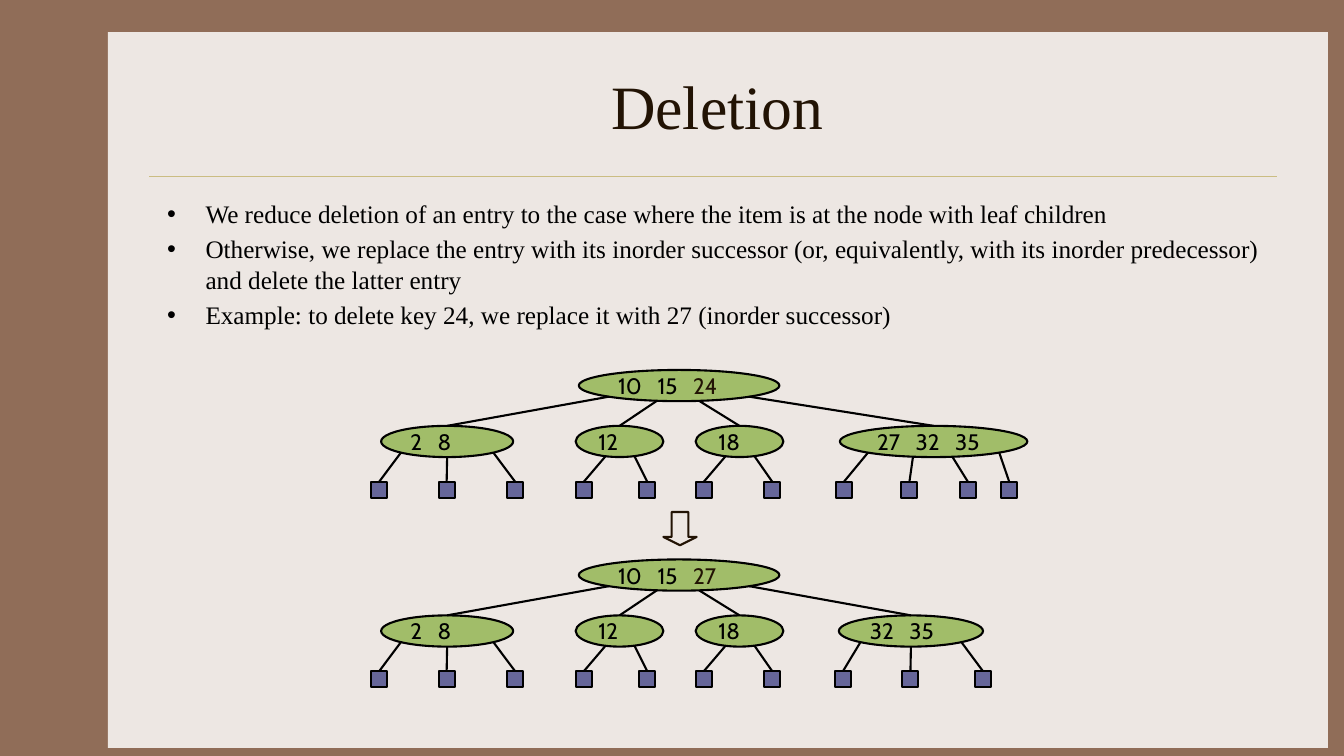
import math
from dataclasses import dataclass
from lxml import etree
from pptx import Presentation
from pptx import util as u
from pptx.dml import color
from pptx.enum import shapes, text
from pptx.oxml import ns

TITLE = "Deletion"
POINTS = [
    "We reduce deletion of an entry to the case where the item is at the node with leaf children",
    "Otherwise, we replace the entry with its inorder successor (or, equivalently, with its inorder predecessor) and delete the latter entry",
    "Example: to delete key 24, we replace it with 27 (inorder successor)",
]
SHARED = [
    (3.78, 1.31, ["2", "8"], [3.68, 4.35, 5.03]),
    (5.71, 0.87, ["12"], [5.71, 6.34]),
    (6.9, 0.87, ["18"], [6.9, 7.58]),
]
TREES = [
    (3.67, ["10", "15", "24"],
     SHARED + [(8.33, 1.86, ["27", "32", "35"], [8.29, 8.94, 9.52, 9.93])]),
    (5.55, ["10", "15", "27"],
     SHARED + [(8.32, 1.43, ["32", "35"], [8.28, 8.95, 9.67])]),
]
ROOT_X, ROOT_W = 5.74, 1.99
NODE_H, LEAF = 0.31, 0.16
NODE_DY, LEAF_DY = 0.555, 1.11
PORTS = {2: (0.34, 0.67), 3: (0.15, 0.5, 0.85), 4: (0.15, 0.39, 0.6, 0.85)}


@dataclass(frozen=True)
class Theme:
    back: str = "906D58"
    panel: str = "EDE7E3"
    rule: str = "CBBD83"
    dark: str = "221304"
    ink: str = "000000"
    node: str = "A1BD69"
    leaf: str = "666699"
    serif: str = "Times New Roman"
    sans: str = "Cabin"
    title: float = 44
    body: float = 18
    key: float = 16
    gap: float = 7.5
    line: float = 1.5
    thin: float = 0.25


T = Theme()


def rgb(code):
    return color.RGBColor.from_string(code)


def box(at):
    return [u.Inches(n) for n in at]


def add_run(para, words, face, size, ink):
    run = para.add_run()
    run.text = words
    run.font.name, run.font.size = face, u.Pt(size)
    run.font.color.rgb = rgb(ink)
    return run


def add_shape(slide, kind, at, fill=None, line=None):
    shape = slide.shapes.add_shape(kind, *box(at))
    shape.shadow.inherit = False
    if fill:
        shape.fill.solid()
        shape.fill.fore_color.rgb = rgb(fill)
    else:
        shape.fill.background()
    if line:
        shape.line.color.rgb = rgb(line)
        shape.line.width = u.Pt(T.line)
    else:
        shape.line.fill.background()
    return shape


def add_line(slide, start, end, ink=T.ink, width=T.line):
    line = slide.shapes.add_connector(shapes.MSO_CONNECTOR.STRAIGHT, *box(start + end))
    line.line.color.rgb = rgb(ink)
    line.line.width = u.Pt(width)
    etree.SubElement(line._element.spPr, ns.qn("a:effectLst"))


def add_node(slide, x, y, w, keys, mark=None):
    node = add_shape(slide, shapes.MSO_SHAPE.OVAL, (x, y, w, NODE_H), T.node, T.ink)
    frame = node.text_frame
    frame.word_wrap = False
    frame.vertical_anchor = text.MSO_ANCHOR.MIDDLE
    para = frame.paragraphs[0]
    para.alignment = text.PP_ALIGN.LEFT
    for i, key in enumerate(keys):
        if i:
            space = add_run(para, " ", T.sans, T.key, T.ink)
            space.font._element.set("spc", str(int(T.gap * 100)))
        add_run(para, key, T.sans, T.key, T.dark if key == mark else T.ink)


def get_ports(x, y, w, count):
    return [(x + w * f, y + NODE_H / 2 + NODE_H * math.sqrt(f * (1 - f)))
            for f in PORTS[count]]


def add_tree(slide, top, keys, nodes):
    add_node(slide, ROOT_X, top, ROOT_W, keys, keys[-1])
    node_y, leaf_y = top + NODE_DY, top + LEAF_DY
    roots = get_ports(ROOT_X, top, ROOT_W, len(nodes))
    for root, (x, w, names, leaves) in zip(roots, nodes):
        add_node(slide, x, node_y, w, names)
        add_line(slide, root, (x + w / 2, node_y))
        for port, leaf in zip(get_ports(x, node_y, w, len(leaves)), leaves):
            add_shape(slide, shapes.MSO_SHAPE.RECTANGLE, (leaf, leaf_y, LEAF, LEAF), T.leaf, T.ink)
            add_line(slide, port, (leaf + LEAF / 2, leaf_y))


def add_title(slide):
    title = slide.shapes.title
    title.left, title.top, title.width, title.height = box((1.56, 0.42, 11.11, 1.25))
    title.text_frame.vertical_anchor = text.MSO_ANCHOR.MIDDLE
    para = title.text_frame.paragraphs[0]
    para.alignment = text.PP_ALIGN.CENTER
    add_run(para, TITLE, T.serif, T.title, T.dark)


def add_points(slide):
    frame = slide.shapes.add_textbox(*box((1.56, 1.92, 11.11, 1.5))).text_frame
    frame.word_wrap = True
    for i, point in enumerate(POINTS):
        para = frame.add_paragraph() if i else frame.paragraphs[0]
        para.space_before = u.Pt(T.body * 0.2)
        props = para._p.get_or_add_pPr()
        props.set("marL", str(u.Inches(0.38)))
        props.set("indent", str(u.Inches(-0.38)))
        etree.SubElement(props, ns.qn("a:buFont"), typeface="Arial")
        etree.SubElement(props, ns.qn("a:buChar"), char="•")
        add_run(para, point, T.serif, T.body, T.ink)


def main():
    deck = Presentation()
    deck.slide_width, deck.slide_height = box((13.33, 7.5))
    slide = deck.slides.add_slide(deck.slide_layouts[5])
    slide.background.fill.solid()
    slide.background.fill.fore_color.rgb = rgb(T.back)
    panel = add_shape(slide, shapes.MSO_SHAPE.RECTANGLE, (1.07, 0.32, 12.1, 7.1), T.panel)
    slide.shapes._spTree.insert(2, panel._element)
    add_line(slide, (1.48, 1.75), (12.67, 1.75), T.rule, T.thin)
    add_title(slide)
    add_points(slide)
    for top, keys, nodes in TREES:
        add_tree(slide, top, keys, nodes)
    arrow = add_shape(slide, shapes.MSO_SHAPE.DOWN_ARROW, (6.58, 5.08, 0.33, 0.33), line=T.dark)
    arrow.adjustments[0], arrow.adjustments[1] = 0.5, 0.25
    deck.save("out.pptx")


if __name__ == "__main__":
    main()
